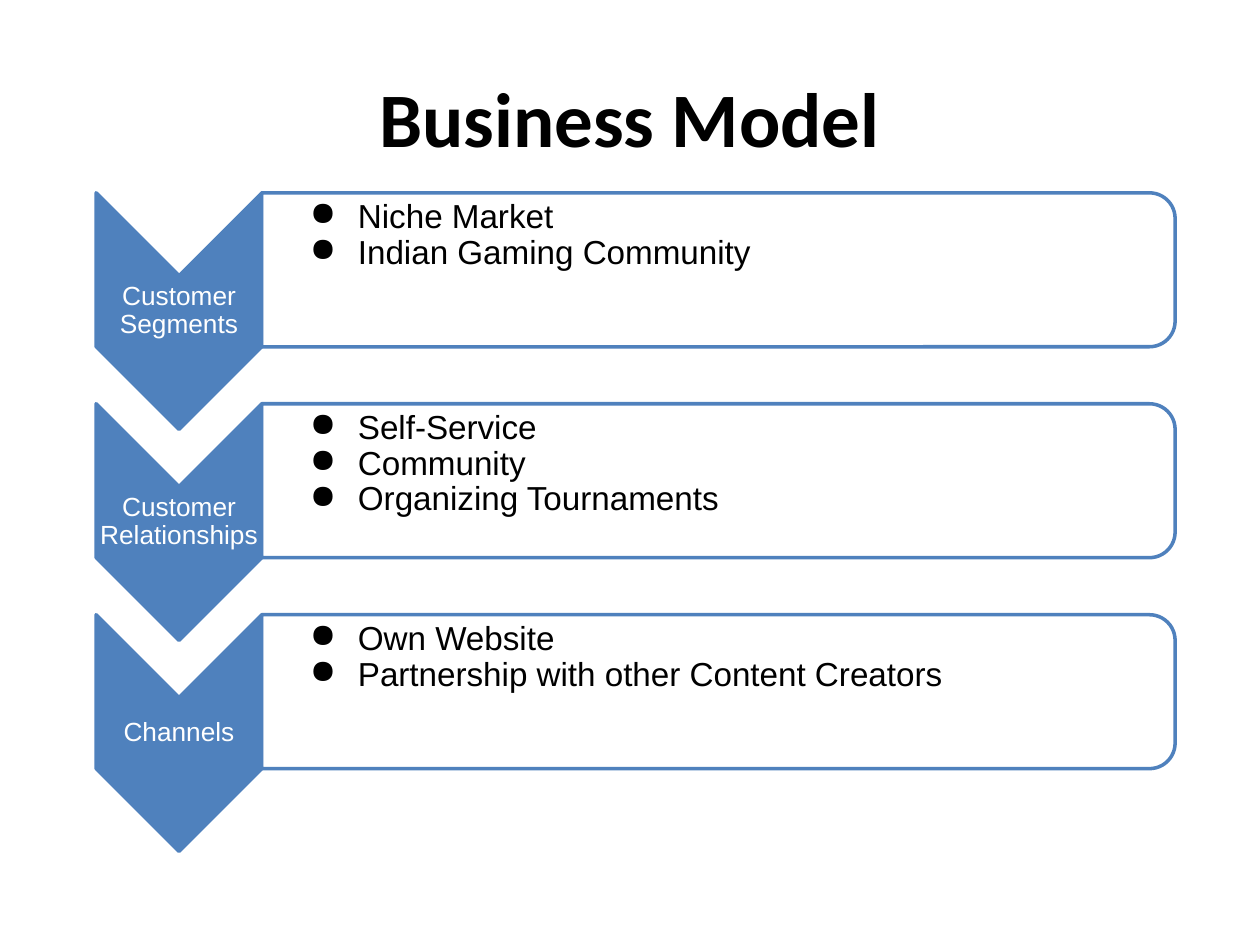
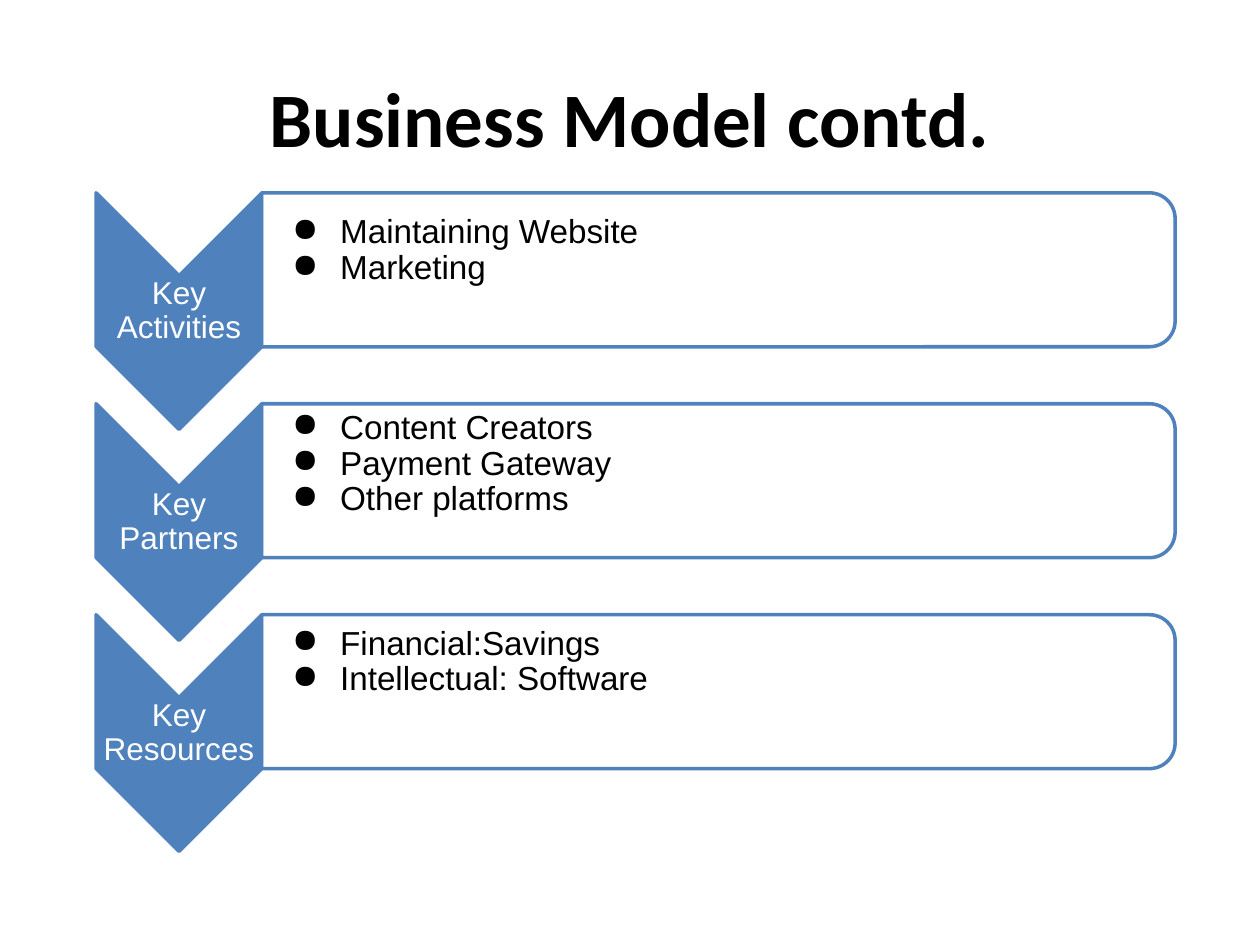
from lxml import etree
from pptx import Presentation
from pptx import util as u
from pptx.dml.color import RGBColor
from pptx.enum import shapes, text
from pptx.oxml.ns import qn

BLUE, WHITE, BLACK = "4F81BD", "FFFFFF", "000000"
ROW_TOP, ROW_STEP = 110.2, 120.55
CHEVRON_LENGTH, CHEVRON_WIDTH = 135.2, 94.8
PANEL_HEIGHT, PANEL_WIDTH = 88, 522
CHEVRON_CENTER, PANEL_CENTER = 102.3, 410.5

SLIDES = [
    ("Business Model", 15, 18.7, [
        ("Customer Segments", 0, ["Niche Market", "Indian Gaming Community"]),
        ("Customer Relationships", 0, ["Self-Service", "Community", "Organizing Tournaments"]),
        ("Channels", 0, ["Own Website", "Partnership with other Content Creators"]),
    ]),
    ("Business Model contd.", 18, 8.6, [
        ("Key Activities", 9, ["Maintaining Website", "Marketing"]),
        ("Key Partners", 0, ["Content Creators", "Payment Gateway", "Other platforms"]),
        ("Key Resources", 2.8, ["Financial:Savings", "Intellectual: Software"]),
    ]),
]


def write_text(shape, lines, font="Arial", size=19, color=BLACK, bold=False, spacing=0.9,
               align=text.PP_ALIGN.CENTER, anchor=text.MSO_ANCHOR.MIDDLE,
               margins=(0.7, 0.7, 0.7, 0.7), bullet=None):
    frame = shape.text_frame
    frame.word_wrap = True
    frame.auto_size = text.MSO_AUTO_SIZE.NONE
    frame.vertical_anchor = anchor
    frame.margin_left, frame.margin_top, frame.margin_right, frame.margin_bottom = map(u.Pt, margins)
    frame.text = "\n".join(lines)
    for paragraph in frame.paragraphs:
        paragraph.alignment = align
        paragraph.line_spacing = spacing
        run_font = paragraph.runs[0].font
        run_font.name, run_font.size, run_font.bold = font, u.Pt(size), bold
        run_font.color.rgb = RGBColor.from_string(color)
        if bullet:
            properties = paragraph._p.get_or_add_pPr()
            properties.set("marL", str(u.Pt(36)))
            properties.set("indent", str(u.Pt(-27.4)))
            bullet_color = etree.SubElement(properties, qn("a:buClr"))
            etree.SubElement(bullet_color, qn("a:srgbClr"), val=color)
            etree.SubElement(properties, qn("a:buChar"), char=bullet)


def add_turned_shape(slide, kind, center_x, center_y, width, height, fill, adjustments):
    shape = slide.shapes.add_shape(kind, u.Pt(center_x - width / 2), u.Pt(center_y - height / 2),
                                   u.Pt(width), u.Pt(height))
    shape.rotation = 90
    shape.shadow.inherit = False
    shape.fill.solid()
    shape.fill.fore_color.rgb = RGBColor.from_string(fill)
    shape.line.color.rgb = RGBColor.from_string(BLUE)
    shape.line.width = u.Pt(2)
    for index, value in enumerate(adjustments):
        shape.adjustments[index] = value
    return shape


presentation = Presentation()
presentation.slide_width, presentation.slide_height = u.Pt(720), u.Pt(540)

for heading, label_size, list_margin, rows in SLIDES:
    slide = presentation.slides.add_slide(presentation.slide_layouts[5])
    title = slide.shapes.title
    title.left, title.top, title.width, title.height = map(u.Pt, (36, 21.6, 648, 90))
    write_text(title, [heading], font="Calibri", size=44, bold=True, spacing=1.0,
               margins=(7.2, 3.6, 7.2, 3.6))

    for row, (label, list_offset, items) in enumerate(rows):
        top = ROW_TOP + row * ROW_STEP
        add_turned_shape(slide, shapes.MSO_SHAPE.CHEVRON, CHEVRON_CENTER, top + CHEVRON_LENGTH / 2,
                         CHEVRON_LENGTH, CHEVRON_WIDTH, BLUE, [0.5])
        label_box = slide.shapes.add_textbox(u.Pt(54.9), u.Pt(top + 47.4), u.Pt(94.8), u.Pt(40.4))
        write_text(label_box, [label], size=label_size, color=WHITE)

        panel = add_turned_shape(slide, shapes.MSO_SHAPE.ROUND_2_SAME_RECTANGLE, PANEL_CENTER,
                                 top + PANEL_HEIGHT / 2, PANEL_HEIGHT, PANEL_WIDTH, WHITE, [0.167, 0])
        panel_color = panel.fill._xPr.find(qn("a:solidFill"))[0]
        etree.SubElement(panel_color, qn("a:alpha"), val="90000")
        list_box = slide.shapes.add_textbox(u.Pt(149.8), u.Pt(top + 3.8), u.Pt(517.7), u.Pt(79.2))
        write_text(list_box, items, align=text.PP_ALIGN.LEFT, anchor=text.MSO_ANCHOR.TOP,
                   margins=(list_margin, list_offset, 1, 1), bullet="●")

presentation.save("out.pptx")
